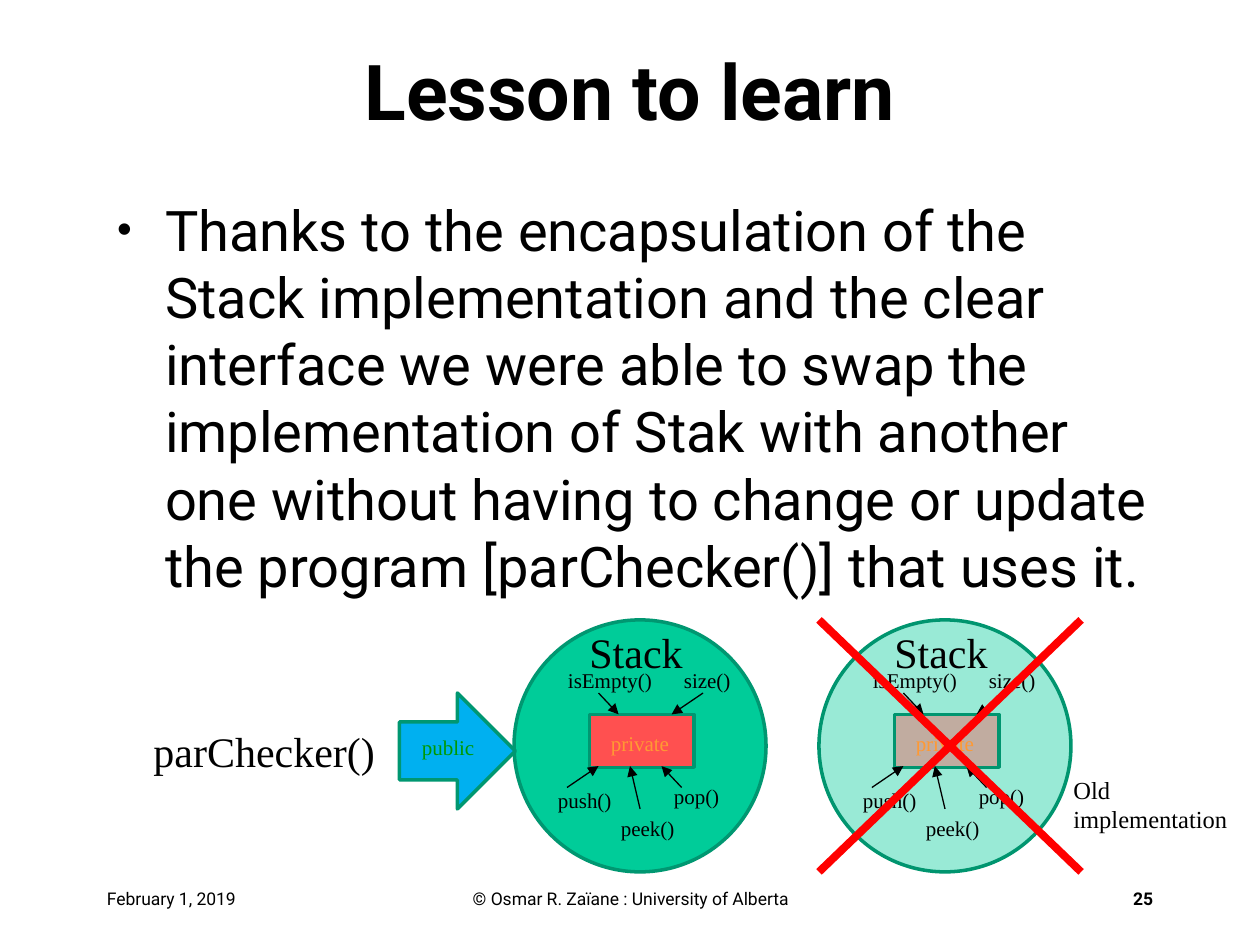
from dataclasses import dataclass

from pptx import Presentation
from pptx.dml.color import RGBColor
from pptx.enum.shapes import MSO_CONNECTOR, MSO_SHAPE
from pptx.enum.text import MSO_ANCHOR, MSO_AUTO_SIZE, PP_ALIGN
from pptx.oxml import parse_xml
from pptx.oxml.ns import nsdecls, qn
from pptx.util import Inches, Pt

LEFT, CENTER, RIGHT = PP_ALIGN.LEFT, PP_ALIGN.CENTER, PP_ALIGN.RIGHT
TOP, MIDDLE = MSO_ANCHOR.TOP, MSO_ANCHOR.MIDDLE
FIXED, GROW = MSO_AUTO_SIZE.NONE, MSO_AUTO_SIZE.SHAPE_TO_FIT_TEXT
OVAL, RECTANGLE = MSO_SHAPE.OVAL, MSO_SHAPE.RECTANGLE
RIGHT_ARROW = MSO_SHAPE.RIGHT_ARROW
STRAIGHT = MSO_CONNECTOR.STRAIGHT


@dataclass(frozen=True)
class Theme:
    sans: str = "Roboto"
    serif: str = "Times New Roman"
    ink: str = "000000"
    outline: str = "009771"
    faded_outline: str = "00956F"
    stack: str = "00CC99"
    private: str = "FF5050"
    private_text: str = "FF9933"
    public: str = "00B0F0"
    public_text: str = "009900"
    cross: str = "FF0000"
    title_size: int = 44
    body_size: int = 32
    heading_size: int = 24
    note_size: int = 14
    label_size: int = 12
    footer_size: int = 10


THEME = Theme()

# Stack diagram, measured from the left and top of its circle
METHODS = [
    ("push()", 0.25, 1.28, 0.63),
    ("pop()", 1.17, 1.25, 0.56),
    ("peek()", 0.75, 1.5, 0.63),
    ("isEmpty()", 0.33, 0.33, 0.87),
    ("size()", 1.25, 0.33, 0.57),
]
METHOD_ARROWS = [
    (0.42, 1.33, 0.67, 1.16),
    (1.33, 1.33, 1.17, 1.16),
    (1, 1.5, 0.92, 1.16),
    (0.67, 0.58, 0.83, 0.75),
    (1.5, 0.58, 1.25, 0.75),
]
STACK_TOP, STACK_SIZE = 4.92, 2
STACK_LEFT, OLD_STACK_LEFT = 4.08, 6.5


def write_text(frame, text, size=THEME.label_size, font=THEME.serif,
               color=THEME.ink, bold=False, align=LEFT, anchor=TOP,
               wrap=True, fit=FIXED):
    frame.word_wrap = wrap
    frame.auto_size = fit
    frame.vertical_anchor = anchor
    paragraph = frame.paragraphs[0]
    paragraph.alignment = align
    paragraph.space_before = Pt(0)
    run = paragraph.add_run()
    run.text = text
    run.font.size = Pt(size)
    run.font.bold = bold
    run.font.color.rgb = RGBColor.from_string(color)
    run.font.name = font
    return run


def place(shape, left, top, width, height):
    shape.left, shape.top = Inches(left), Inches(top)
    shape.width, shape.height = Inches(width), Inches(height)


def add_text(slide, text, left, top, width, height, **text_format):
    box = slide.shapes.add_textbox(
        Inches(left), Inches(top), Inches(width), Inches(height))
    write_text(box.text_frame, text, **text_format)


def add_label(slide, text, left, top, width, height=0.3, **text_format):
    add_text(slide, text, left, top, width, height,
             wrap=False, fit=GROW, **text_format)


def add_figure(slide, kind, left, top, width, height, fill,
               outline=THEME.outline, opacity=100):
    shape = slide.shapes.add_shape(
        kind, Inches(left), Inches(top), Inches(width), Inches(height))
    shape.shadow.inherit = False
    shape.fill.solid()
    shape.fill.fore_color.rgb = RGBColor.from_string(fill)
    shape.line.color.rgb = RGBColor.from_string(outline)
    shape.line.width = Pt(2)
    if opacity < 100:
        color = shape.fill._xPr.find(qn("a:solidFill"))[0]
        color.append(parse_xml(
            f'<a:alpha {nsdecls("a")} val="{opacity * 1000}"/>'))


def add_line(slide, x1, y1, x2, y2, color=THEME.ink, width=0.75, arrow=False):
    line = slide.shapes.add_connector(
        STRAIGHT, Inches(x1), Inches(y1), Inches(x2), Inches(y2))
    line.line.color.rgb = RGBColor.from_string(color)
    line.line.width = Pt(width)
    if arrow:
        line.line._get_or_add_ln().append(
            parse_xml(f'<a:tailEnd {nsdecls("a")} type="triangle"/>'))
    line._element.spPr.append(parse_xml(f'<a:effectLst {nsdecls("a")}/>'))


def add_title(slide, text):
    title = slide.shapes.title
    place(title, 0.75, 0.17, 8.5, 1.08)
    run = write_text(title.text_frame, text, size=THEME.title_size,
                     font=THEME.sans, bold=True, align=CENTER, anchor=MIDDLE)
    shadow = parse_xml(
        f'<a:effectLst {nsdecls("a")}><a:outerShdw dist="35921" dir="2700000">'
        '<a:srgbClr val="969696"/></a:outerShdw></a:effectLst>')
    run.font._element.find(qn("a:solidFill")).addnext(shadow)


def add_body(slide, text):
    body = slide.placeholders[1]
    place(body, 0.83, 1.5, 8.5, 5.42)
    properties = body.text_frame.paragraphs[0]._p.get_or_add_pPr()
    properties.set("marL", str(Inches(0.38)))
    properties.set("indent", str(Inches(-0.38)))
    properties.append(parse_xml(f'<a:buSzPct {nsdecls("a")} val="75000"/>'))
    properties.append(parse_xml(f'<a:buChar {nsdecls("a")} char="•"/>'))
    write_text(body.text_frame, text, size=THEME.body_size, font=THEME.sans)


def add_stack(slide, left, outline=THEME.outline, opacity=100):
    top = STACK_TOP
    add_figure(slide, OVAL, left, top, STACK_SIZE, STACK_SIZE,
               THEME.stack, outline, opacity)
    add_figure(slide, RECTANGLE, left + 0.6, top + 0.75, 0.83, 0.42,
               THEME.private, outline, opacity)
    for name, x, y, width in METHODS:
        add_label(slide, name, left + x, top + y, width)
    for x1, y1, x2, y2 in METHOD_ARROWS:
        add_line(slide, left + x1, top + y1, left + x2, top + y2, arrow=True)
    add_label(slide, "private", left + 0.67, top + 0.83, 0.67,
              color=THEME.private_text)
    add_label(slide, "Stack", left + 0.5, top, 0.94, 0.5,
              size=THEME.heading_size)


def add_footer(slide):
    for text, left, width, align, bold in [
        ("February 1, 2019", 0.75, 2.08, LEFT, False),
        ("© Osmar R. Zaïane : University of Alberta", 2.92, 4.17, CENTER, False),
        ("25", 7.17, 2.08, RIGHT, True),
    ]:
        add_text(slide, text, left, 7, width, 0.33, size=THEME.footer_size,
                 font=THEME.sans, align=align, bold=bold)


def main():
    presentation = Presentation()
    presentation.slide_width = Inches(10)
    presentation.slide_height = Inches(7.5)
    slide = presentation.slides.add_slide(presentation.slide_layouts[1])

    add_footer(slide)
    add_title(slide, "Lesson to learn")
    add_body(slide, "Thanks to the encapsulation of the Stack implementation "
                    "and the clear interface we were able to swap the "
                    "implementation of Stak with another one without having "
                    "to change or update the program [parChecker()] that "
                    "uses it.")

    # Current stack and the program that calls it
    add_stack(slide, STACK_LEFT)
    add_figure(slide, RIGHT_ARROW, 3.17, 5.5, 0.92, 0.92, THEME.public)
    add_label(slide, "public", 3.25, 5.78, 0.62, color=THEME.public_text)
    add_label(slide, "parChecker()", 1.12, 5.71, 1.96, 0.5,
              size=THEME.heading_size)

    # Old stack, faded and crossed out
    add_stack(slide, OLD_STACK_LEFT, THEME.faded_outline, opacity=40)
    bottom = STACK_TOP + STACK_SIZE
    for start, end in [(8.58, 6.5), (6.5, 8.58)]:
        add_line(slide, start, STACK_TOP, end, bottom,
                 color=THEME.cross, width=4.5)
    add_text(slide, "Old implementation", 8.42, 6.1, 1.52, 0.57,
             size=THEME.note_size, fit=GROW)

    presentation.save("out.pptx")


if __name__ == "__main__":
    main()
